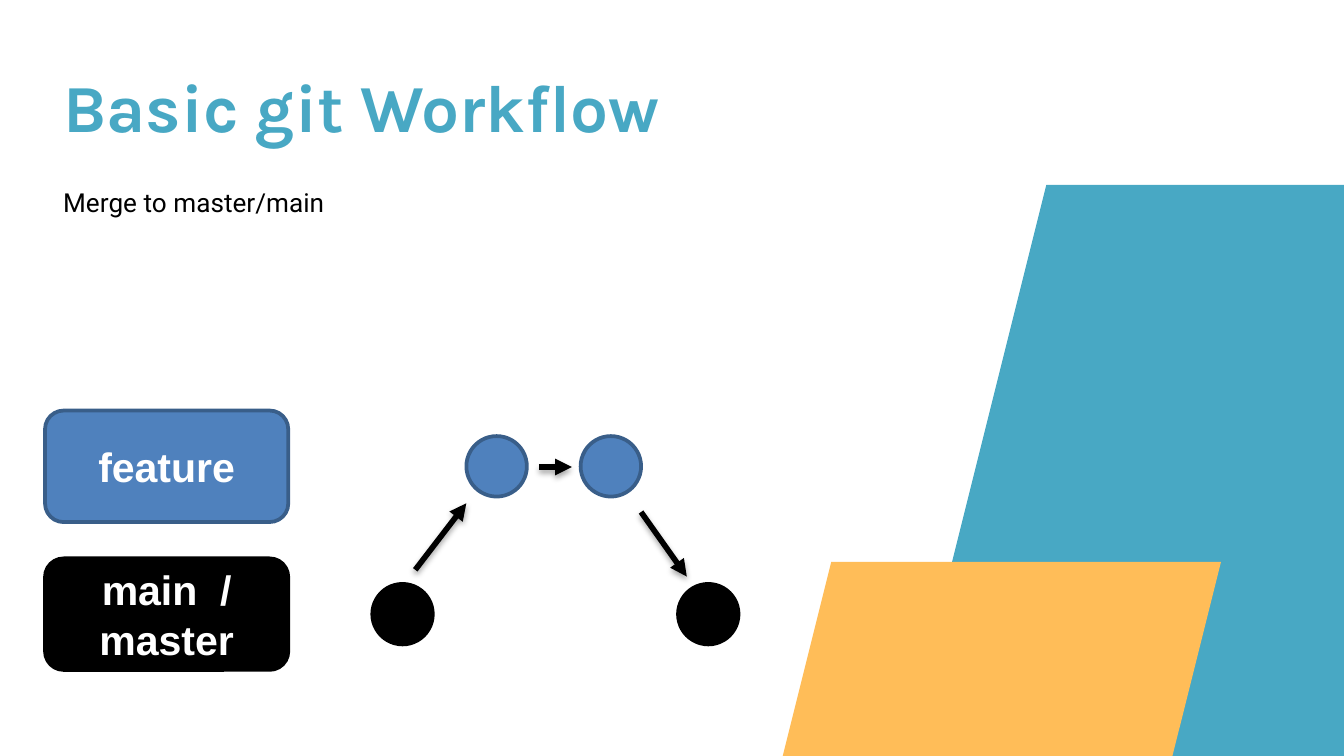
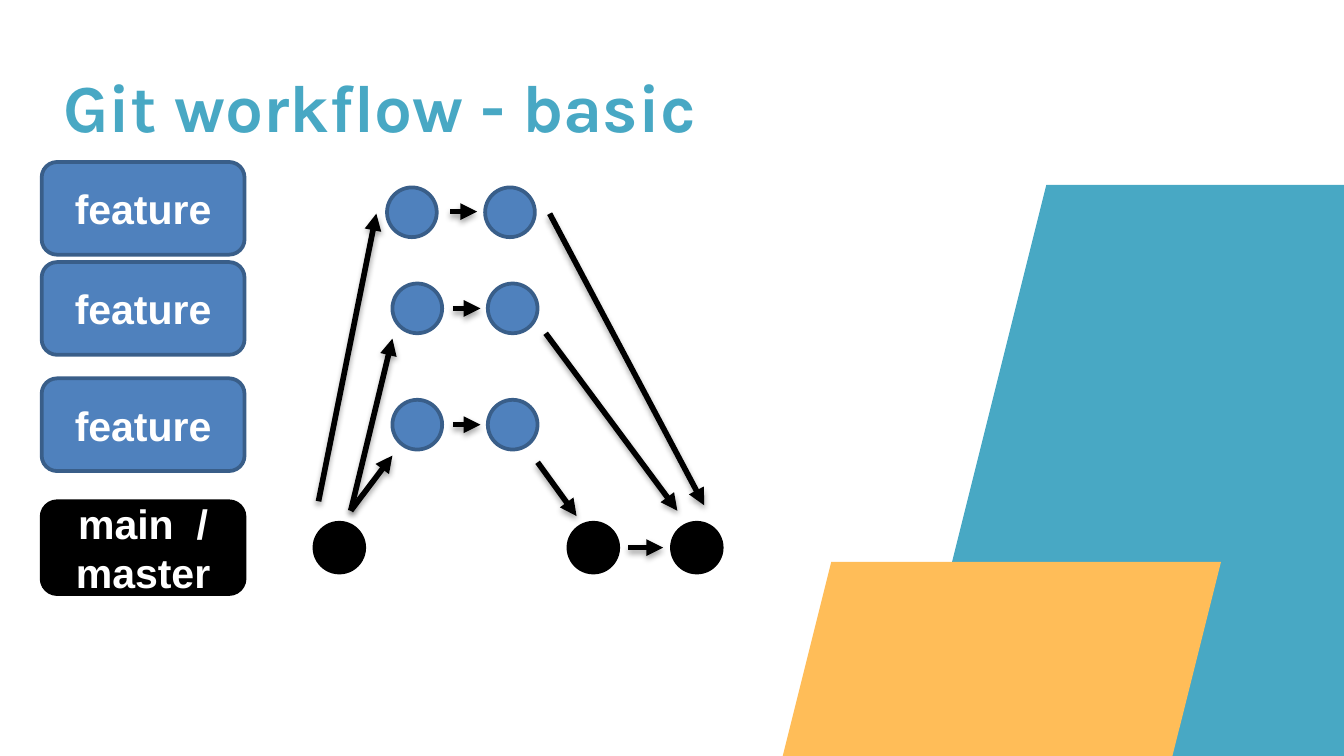
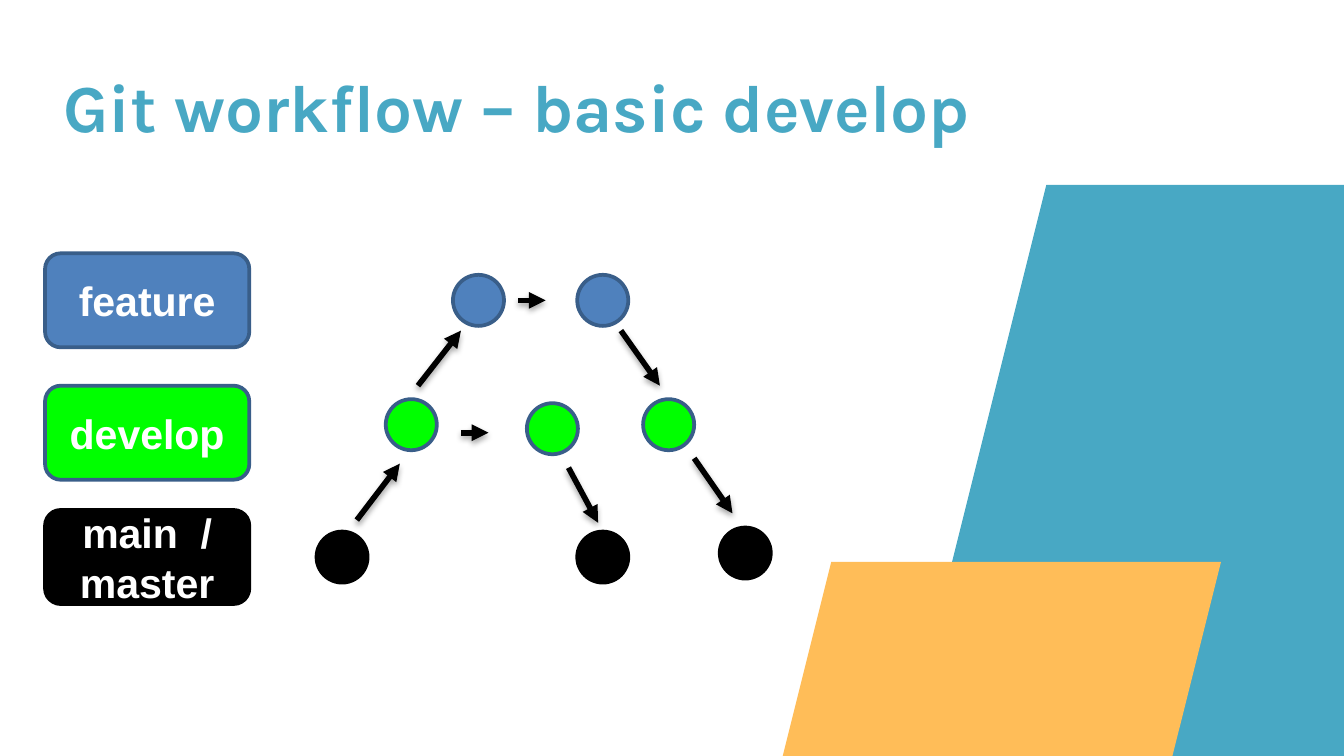
"""Build three slides of git branch diagrams on a grid of 0.1 inch cells."""
from pptx import Presentation, util as u
from pptx.dml.color import RGBColor
from pptx.enum import shapes, text
from pptx.oxml import parse_xml
from pptx.oxml.ns import nsdecls, qn

TEAL, AMBER, BLACK, WHITE = "48A8C4", "FFBD58", "000000", "FFFFFF"
BRANCHES = {
    "feature": ("4F81BD", "395E89"),
    "develop": ("00FF00", "395E89"),
    "main  / master": (BLACK, BLACK),
}
BANDS = [(66.9, 13.75, 48.8, 43.8, TEAL), (57.9, 41.8, 32.95, 15.8, AMBER)]
TITLE = (4.6, 4.75, 74.2, 6.1, "Karla", 36, True, TEAL)
SUBTITLE = (4.6, 13.8, 51.2, 2.4, "Roboto", 14, False, BLACK)
TAIL = f'<a:tailEnd {nsdecls("a")} type="triangle"/>'
SHADOW = (
    f'<a:effectLst {nsdecls("a")}>'
    '<a:outerShdw blurRad="40000" dist="23000" dir="5400000" rotWithShape="0">'
    '<a:srgbClr val="000000"><a:alpha val="35000"/></a:srgbClr>'
    '</a:outerShdw></a:effectLst>'
)

SLIDES = [
    {
        "title": "Basic git Workflow", "subtitle": "Merge to master/main",
        "label": {"left": 3.35, "width": 18.1, "height": 8.3}, "dot": 4.5,
        "lanes": [
            {"branch": "main  / master", "middle": 45.7,
             "commits": [(27.7, 0), (50.45, 0)]},
            {"branch": "feature", "middle": 34.7,
             "commits": [(34.7, 0), (43.2, 0)]},
        ],
        "arrows": [(30.9, 42.4, 34.7, 37.45), (40.1, 34.75, 42.55, 34.75),
                   (47.7, 38.1, 51.1, 42.9)],
    },
    {
        "title": "Git workflow - basic", "subtitle": None,
        "label": {"left": 3.1, "width": 15.1, "height": 6.9}, "dot": 3.7,
        "lanes": [
            {"branch": "main  / master", "middle": 40.75,
             "commits": [(23.4, 0), (42.3, 0), (50, 0)]},
            {"branch": "feature", "middle": 31.6,
             "commits": [(29.2, 0), (36.3, 0)]},
            {"branch": "feature", "middle": 22.95,
             "commits": [(29.2, 0), (36.3, 0)]},
            {"branch": "feature", "middle": 15.5,
             "commits": [(28.8, 0.3), (36.1, 0.3)]},
        ],
        "arrows": [(26.1, 38, 29.2, 33.9), (33.7, 31.6, 35.75, 31.6),
                   (40, 34.4, 42.9, 38.4), (33.7, 22.95, 35.75, 22.95),
                   (26.1, 38, 29.2, 25.2), (46.75, 40.75, 49.35, 40.75),
                   (40.6, 24.8, 50.4, 38), (23.7, 37.3, 28, 15.9),
                   (33.5, 15.75, 35.5, 15.75), (40.9, 15.9, 52.4, 37.6)],
    },
    {
        "title": "Git workflow – basic develop", "subtitle": None,
        "label": {"left": 3.35, "width": 15.2, "height": 7}, "dot": 3.8,
        "lanes": [
            {"branch": "main  / master", "middle": 41.45,
             "commits": [(23.55, 0), (42.95, 0), (53.55, -0.3)]},
            {"branch": "develop", "middle": 32.2,
             "commits": [(28.7, -0.6), (39.2, -0.3), (47.85, -0.6)]},
            {"branch": "feature", "middle": 22.35,
             "commits": [(33.7, 0), (42.95, 0)]},
        ],
        "arrows": [(26.55, 38.7, 29.75, 34.5), (34.3, 32.2, 36.35, 32.2),
                   (42.3, 34.8, 44.5, 38.9), (31.1, 28.7, 34.3, 24.6),
                   (38.55, 22.35, 40.6, 22.35), (46.2, 24.6, 49.1, 28.7),
                   (51.65, 34.1, 54.5, 38.2)],
    },
]


def cells(*counts):
    return [u.Inches(count / 10) for count in counts]


def paint(fill, colour):
    fill.solid()
    fill.fore_color.rgb = RGBColor.from_string(colour)


deck = Presentation()
deck.slide_width, deck.slide_height = cells(100, 56.25)

for plan in SLIDES:
    page = deck.slides.add_slide(deck.slide_layouts[6])
    paint(page.background.fill, WHITE)

    for words, style in ((plan["title"], TITLE), (plan["subtitle"], SUBTITLE)):
        if not words:
            continue
        *place, font_name, size, bold, colour = style
        frame = page.shapes.add_textbox(*cells(*place)).text_frame
        frame.text = words
        frame.word_wrap = True
        frame.auto_size = text.MSO_AUTO_SIZE.SHAPE_TO_FIT_TEXT
        frame.margin_left = frame.margin_top = u.Inches(0.01)
        frame.margin_right = frame.margin_bottom = 0
        font = frame.paragraphs[0].runs[0].font
        font.name, font.size, font.bold = font_name, u.Pt(size), bold
        paint(font.fill, colour)

    left, width, height = plan["label"].values()
    dot = plan["dot"]
    for lane in plan["lanes"]:
        middle = lane["middle"]
        label = page.shapes.add_shape(
            shapes.MSO_SHAPE.ROUNDED_RECTANGLE,
            *cells(left, middle - height / 2, width, height))
        frame = label.text_frame
        frame.text = lane["branch"]
        frame.word_wrap = True
        frame.vertical_anchor = text.MSO_ANCHOR.MIDDLE
        frame.margin_left = frame.margin_right = u.Inches(0.05)
        frame.margin_top = frame.margin_bottom = u.Inches(0.02)
        para = frame.paragraphs[0]
        para.alignment = text.PP_ALIGN.CENTER
        font = para.runs[0].font
        font.name, font.size, font.bold = "Arial", u.Pt(22), True
        paint(font.fill, WHITE)

        dots = [
            page.shapes.add_shape(
                shapes.MSO_SHAPE.OVAL,
                *cells(column, middle + drop - dot / 2, dot, dot))
            for column, drop in lane["commits"]
        ]
        fill_colour, line_colour = BRANCHES[lane["branch"]]
        for shape in (label, *dots):
            shape.shadow.inherit = False
            paint(shape.fill, fill_colour)
            paint(shape.line.fill, line_colour)
            shape.line.width = u.Pt(2)

    for ends in plan["arrows"]:
        arrow = page.shapes.add_connector(
            shapes.MSO_CONNECTOR.STRAIGHT, *cells(*ends))
        paint(arrow.line.fill, BLACK)
        arrow.line.width = u.Pt(3)
        properties = arrow.element.spPr
        properties.find(qn("a:ln")).append(parse_xml(TAIL))
        properties.append(parse_xml(SHADOW))

    for *place, colour in BANDS:
        band = page.shapes.add_shape(
            shapes.MSO_SHAPE.PARALLELOGRAM, *cells(*place))
        band.shadow.inherit = False
        band.line.fill.background()
        paint(band.fill, colour)

deck.save("out.pptx")
